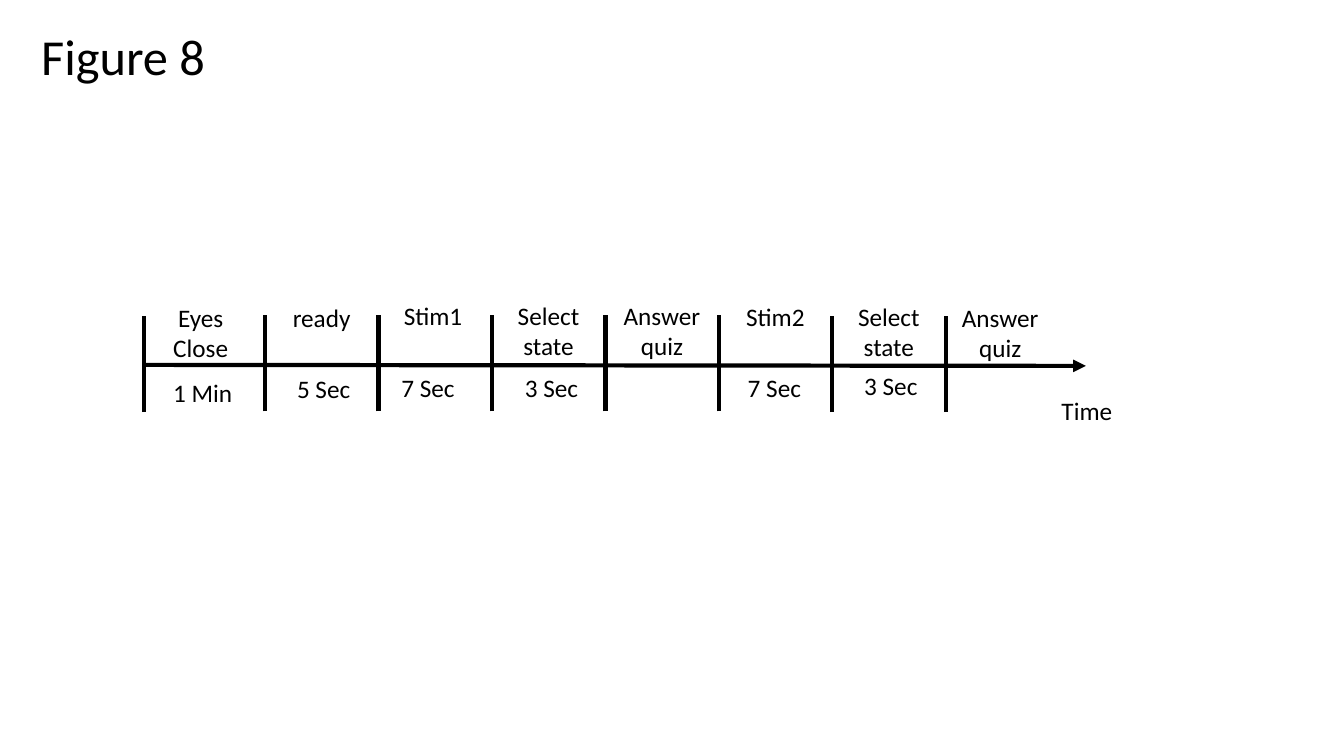
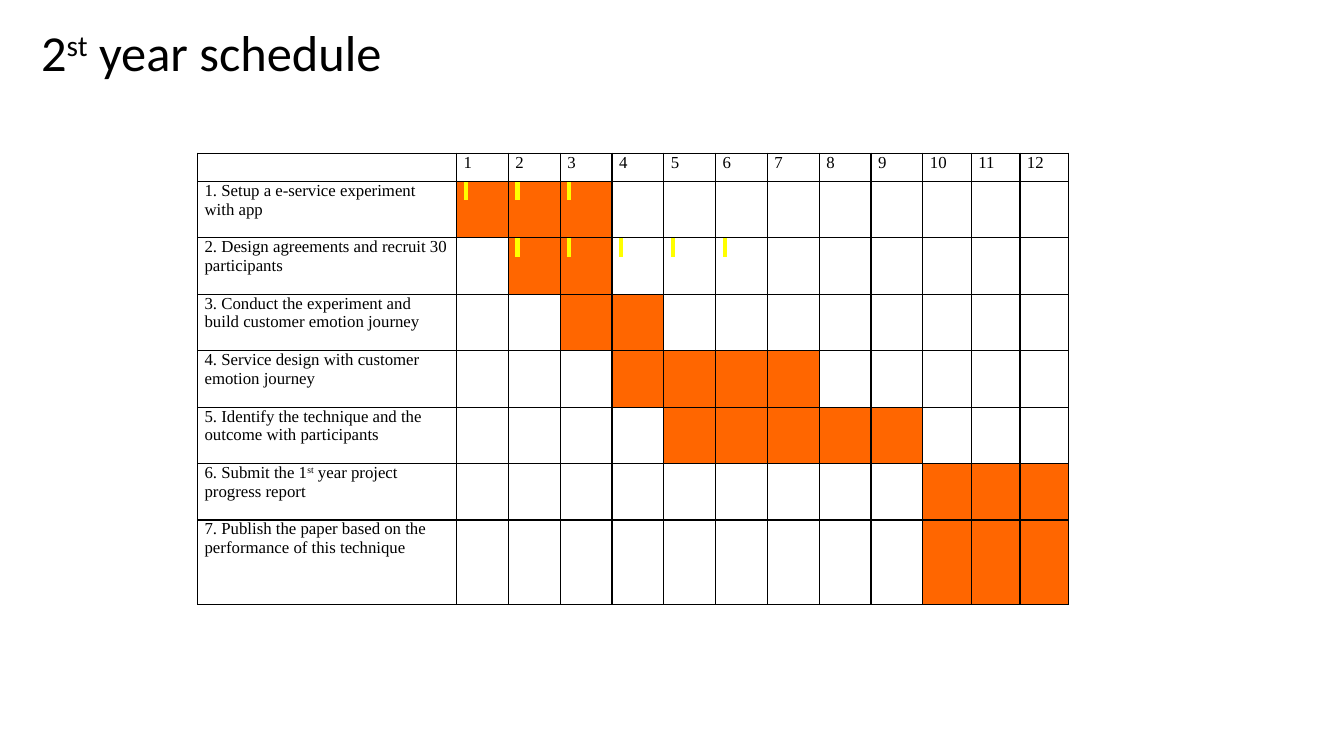
from lxml import etree
from pptx import Presentation
from pptx import util as u
from pptx.dml.color import RGBColor
from pptx.enum import shapes, text
from pptx.oxml.ns import qn

WIDE, HIGH = 13.33, 7.5
INK = {"text": "000000", "line": "000000", "bar": "FF6600", "mark": "FFFF00"}
SANS, SERIF = "Calibri", "Times New Roman"
TITLE, LABEL, CELL = 36, 18, 12

FIRST, STEP, TEXT = 1.2, 1.125, 1.12
STAGES = [
    ("Eyes\u0020Close", 0, 0.02, 0.01, "1 Min", 0.02, 0.76),
    ("ready", 0, 0.02, 0, "5 Sec", 0.02, 0.72),
    ("Stim1", -0.02, 0, 0, "7 Sec", -0.07, 0.71),
    ("Select state", 0, 0, 0, "3 Sec", 0.03, 0.71),
    ("Answer\nquiz", 0, 0, 0, "", 0, 0),
    ("Stim2", 0, 0.01, 0, "7 Sec", -0.01, 0.71),
    ("Select state", 0, 0.01, 0.01, "3 Sec", 0.02, 0.69),
    ("Answer\nquiz", -0.02, 0.02, 0.01, "", 0, 0),
]
TASKS = [
    ("1. Setup a e-service experiment with app", range(1, 4), range(1, 4)),
    ("2. Design agreements and recruit 30 participants", range(2, 4), range(2, 7)),
    ("3. Conduct the experiment and build customer emotion journey", range(3, 5), ()),
    ("4. Service design with customer emotion journey", range(4, 8), ()),
    ("5. Identify the technique and the outcome with participants", range(5, 10), ()),
    ("6. Submit the 1^st^ year project progress report", range(10, 13), ()),
    ("7. Publish the paper based on the performance of this technique", range(10, 13), ()),
]
COLS = [80] + [16] * 9 + [15] * 3
ROWS = [1] + [2] * 6 + [3]


def color(key):
    return RGBColor.from_string(INK[key])


def write(par, words, size, face):
    for i, part in enumerate(words.split("^")):
        run = par.add_run()
        run.text = part
        run.font.size = u.Pt(size)
        run.font.name = face
        run.font.color.rgb = color("text")
        if i % 2:
            run.font._element.set("baseline", "30000")


def label(parts, box, words, size=LABEL, align=text.PP_ALIGN.LEFT):
    frame = parts.add_textbox(*map(u.Inches, box)).text_frame
    frame.word_wrap = True
    for i, row in enumerate(words.split("\n")):
        par = frame.add_paragraph() if i else frame.paragraphs[0]
        par.alignment = align
        write(par, row, size, SANS)


def rule(parts, start, end, arrow=False):
    line = parts.add_connector(
        shapes.MSO_CONNECTOR.STRAIGHT, *map(u.Inches, start + end))
    line.line.color.rgb = color("line")
    line.line.width = u.Pt(3)
    if arrow:
        etree.SubElement(line.line._get_or_add_ln(), qn("a:tailEnd"), type="triangle")
    etree.SubElement(line._element.spPr, qn("a:effectLst"))


def title(slide, top, words):
    label(slide.shapes, (0.31, top, 5.51, 0.71), words, TITLE)


def timeline(slide, box):
    left, top, width, height = box
    parts = slide.shapes.add_group_shape().shapes
    mid = text.PP_ALIGN.CENTER
    for i, (name, dx, dy, drop, time, tx, ty) in enumerate(STAGES):
        x = left + (FIRST + STEP * (i - 1) if i else 0)
        y = top + 0.2 + drop
        rule(parts, (x, y + 0.95), (x, y))
        label(parts, (x + dx, top + dy, TEXT, 0.71), name, align=mid)
        if time:
            label(parts, (x + tx, top + ty, TEXT, 0.4), time, align=mid)
    rule(parts, (left, top + 0.69), (left + width - 0.63, top + 0.7), True)
    label(parts, (left + width - 0.97, top + height - 0.38, 0.97, 0.38), "Time")


def border(cell):
    props = cell._tc.get_or_add_tcPr()
    for side in "LRTB":
        line = etree.SubElement(props, qn("a:ln" + side), w=str(u.Pt(1)))
        fill = etree.SubElement(line, qn("a:solidFill"))
        etree.SubElement(fill, qn("a:srgbClr"), val=INK["line"])


def mark(par):
    write(par, " ", CELL, SERIF)
    props = par.runs[0].font._element
    glow = etree.Element(qn("a:highlight"))
    etree.SubElement(glow, qn("a:srgbClr"), val=INK["mark"])
    props.find(qn("a:solidFill")).addnext(glow)


def paint(cell, words, bar, lit):
    cell.margin_left = cell.margin_right = u.Inches(0.07)
    cell.margin_top = cell.margin_bottom = 0
    border(cell)
    if bar:
        cell.fill.solid()
        cell.fill.fore_color.rgb = color("bar")
    else:
        cell.fill.background()
    par = cell.text_frame.paragraphs[0]
    if words:
        write(par, words, CELL, SERIF)
    elif lit:
        mark(par)
    else:
        etree.SubElement(par._p, qn("a:endParaRPr"), sz=str(CELL * 100))


def schedule(slide, box):
    width, height = box[2:]
    grid = slide.shapes.add_table(len(ROWS), len(COLS), *map(u.Inches, box)).table
    grid.first_row = grid.horz_banding = False
    for col, share in zip(grid.columns, COLS):
        col.width = u.Inches(width * share / sum(COLS))
    for row, share in zip(grid.rows, ROWS):
        row.height = u.Inches(height * share / sum(ROWS))
    for c in range(len(COLS)):
        paint(grid.cell(0, c), str(c) if c else "", False, False)
        for r, (task, bars, lit) in enumerate(TASKS, 1):
            paint(grid.cell(r, c), "" if c else task, c in bars, c in lit)


def main():
    deck = Presentation()
    deck.slide_width, deck.slide_height = u.Inches(WIDE), u.Inches(HIGH)
    blank = deck.slide_layouts[6]
    slide = deck.slides.add_slide(blank)
    title(slide, 0.2, "Figure 8")
    timeline(slide, (1.43, 2.93, 9.97, 1.32))
    slide = deck.slides.add_slide(blank)
    schedule(slide, (1.96, 1.52, 8.64, 4.48))
    title(slide, 0.16, "2^st^ year schedule")
    deck.save("out.pptx")


if __name__ == "__main__":
    main()
